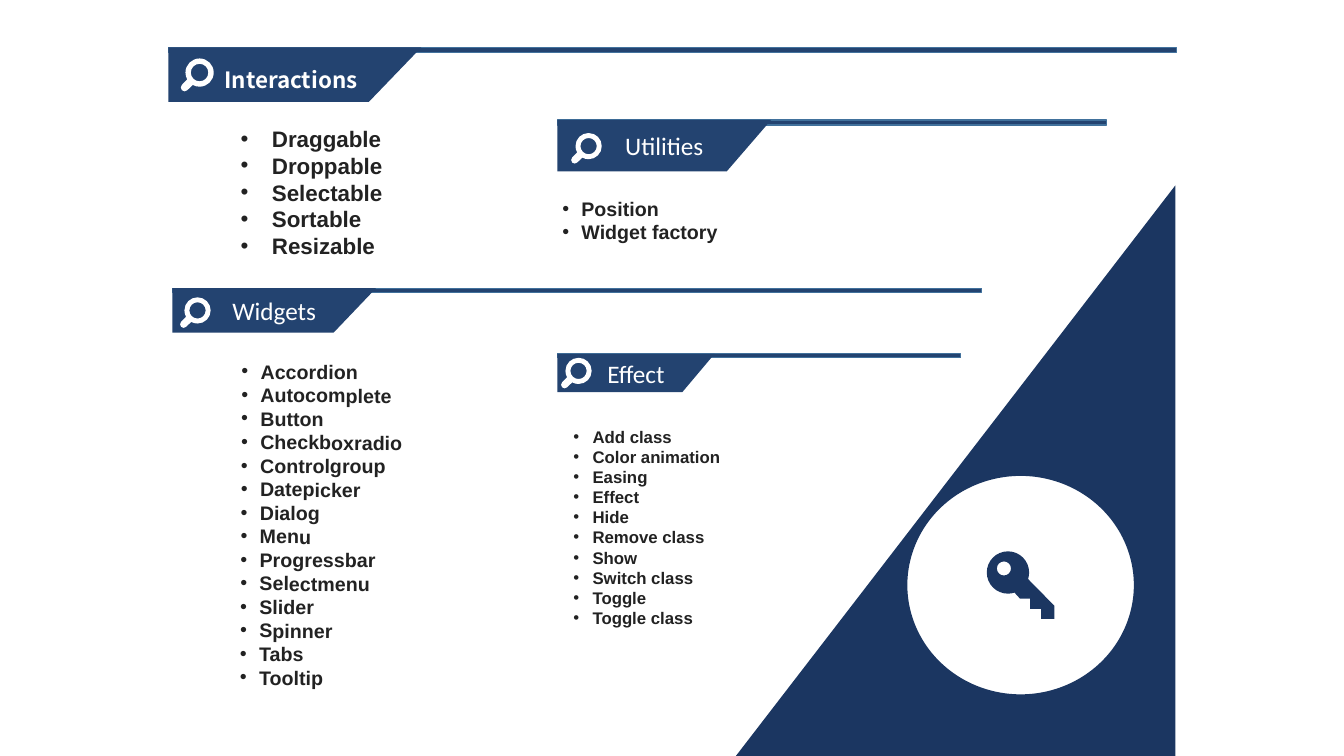
from dataclasses import dataclass
from math import cos, radians, sin, tan

from lxml import etree
from pptx import Presentation
from pptx import util as u
from pptx.dml.color import RGBColor
from pptx.enum import shapes, text
from pptx.oxml.ns import qn

PX = 9144  # EMU in one px, 100 px to the inch
NAVY, BLUE, WHITE, INK = "1B3661", "234370", "FFFFFF", "222222"
Point = tuple[float, float]
Step = list[Point]  # one point for a line, three for a curve


@dataclass
class Panel:
    title: str
    box: tuple[int, int, int, int]  # tab
    slant: int
    bar: tuple[int, int]  # width, height
    edge: str
    lens: tuple[int, int, int]  # centre, radius
    list_box: tuple[int, int, int, int]
    size: int
    items: list[str]
    indent: tuple[int, int] = (69, -19)
    turn: float = 0
    label: tuple[int, int, int, int] | None = None  # separate title box


PANELS = [
    Panel("Interactions", (167, 47, 251, 54), 52, (1000, 5), "43739E",
          (198, 72, 14), (179, 119, 240, 142), 16,
          ["Draggable", "Droppable", "Selectable", "Sortable", "Resizable"],
          indent=(81, -31), label=(213, 61, 160, 37)),
    Panel("Widgets", (171, 286, 202, 44), 42, (803, 4), "41719C",
          (196, 308, 13), (179, 352, 283, 321), 14,
          ["Accordion", "Autocomplete", "Button", "Checkboxradio",
           "Controlgroup", "Datepicker", "Dialog", "Menu", "Progressbar",
           "Selectmenu", "Slider", "Spinner", "Tabs", "Tooltip"], turn=0.3),
    Panel("Utilities", (553, 119, 212, 51), 44, (545, 5), "41719C",
          (584, 145, 13), (498, 190, 280, 54), 14,
          ["Position", "Widget factory"]),
    Panel("Effect", (553, 351, 156, 38), 32, (400, 4), "41719C",
          (574, 368, 13), (509, 418, 220, 204), 12,
          ["Add class", "Color animation", "Easing", "Effect", "Hide",
           "Remove class", "Show", "Switch class", "Toggle", "Toggle class"]),
]

prs = Presentation()
prs.slide_width, prs.slide_height = u.Inches(40 / 3), u.Inches(7.5)
slide = prs.slides.add_slide(prs.slide_layouts[6])
tree = slide.shapes


def rgb(code: str) -> RGBColor:
    return RGBColor.from_string(code)


def paint(shape, fill: str, line: str | None = None, width: float = 1):
    shape.shadow.inherit = False
    shape.fill.solid()
    shape.fill.fore_color.rgb = rgb(fill)
    if line:
        shape.line.color.rgb = rgb(line)
        shape.line.width = u.Pt(width)
    else:
        shape.line.fill.background()
    return shape


def preset(kind, box: tuple[int, ...], fill: str,
           line: str | None = None, width: float = 1):
    shape = tree.add_shape(kind, *(n * PX for n in box))
    return paint(shape, fill, line, width)


def lines(*points: Point) -> list[Step]:
    return [[point] for point in points]


def arc(x: float, y: float, r: float, start: int, end: int) -> list[Step]:
    """Line to the start, then curves that break at each quarter turn."""
    low, high = sorted((start, end))
    stops = [low, *(a for a in range(-360, 541, 90) if low < a < high), high]
    if start > end:
        stops.reverse()

    def spot(a: int, k: float = 0) -> Point:
        t = radians(a)
        return x + r * (cos(t) - k * sin(t)), y + r * (sin(t) + k * cos(t))

    steps = lines(spot(start))
    for a, b in zip(stops, stops[1:]):
        k = 4 / 3 * tan(radians(b - a) / 4)
        steps.append([spot(a, k), spot(b, -k), spot(b)])
    return steps


def outline(fill: str, *loops: list[Step]):
    loops = [[[(round(x * PX), round(y * PX)) for x, y in step]
              for step in loop] for loop in loops]
    form = tree.build_freeform(*loops[0][0][-1], scale=1.0)
    for i, loop in enumerate(loops):
        if i:
            form.move_to(*loop[0][-1])
        form.add_line_segments([step[-1] for step in loop[1:]], close=True)
    shape = form.convert_to_shape()
    # Bend the steps that have control points
    marks = [el for el in shape._element.iter(qn("a:moveTo"), qn("a:lnTo"))]
    for mark, step in zip(marks, sum(loops, [])):
        if len(step) == 3:
            mark.tag = qn("a:cubicBezTo")
            mark.clear()
            for x, y in step:
                pt = etree.SubElement(mark, qn("a:pt"))
                pt.set("x", str(x - shape.left))
                pt.set("y", str(y - shape.top))
    return paint(shape, fill)


def write(par, words: str, size: int, font: str, color: str, bold: bool):
    run = par.add_run()
    run.text = words
    run.font.size, run.font.name, run.font.bold = u.Pt(size), font, bold
    run.font.color.rgb = rgb(color)


def text_box(box: tuple[int, ...]):
    shape = tree.add_textbox(*(n * PX for n in box))
    shape.text_frame.word_wrap = True
    shape.text_frame.auto_size = text.MSO_AUTO_SIZE.SHAPE_TO_FIT_TEXT
    return shape


def lens(x: int, y: int, r: int) -> None:
    reach = 1.5 * r * cos(radians(45))
    rim = arc(x, y, r, 151, 479)
    grip = arc(x - reach, y + reach, 0.27 * r, 45, 225)
    outline(WHITE, rim + grip, arc(x, y, 0.62 * r, 360, 0))


def bullets(panel: Panel) -> None:
    shape = text_box(panel.list_box)
    shape.rotation = panel.turn
    frame = shape.text_frame
    for i, item in enumerate(panel.items):
        par = frame.add_paragraph() if i else frame.paragraphs[0]
        props = par._p.get_or_add_pPr()
        for key, n in zip(("marL", "indent"), panel.indent):
            props.set(key, str(n * PX))
        etree.SubElement(props, qn("a:buFont")).set("typeface", "Arial")
        etree.SubElement(props, qn("a:buChar")).set("char", "•")
        write(par, item, panel.size, "Arial", INK, True)


def draw(panel: Panel) -> None:
    x, y, w, h = panel.box
    preset(shapes.MSO_SHAPE.RECTANGLE, (x, y, *panel.bar), BLUE, panel.edge)
    tab = outline(BLUE, lines((x, y), (x + w, y), (x + w - panel.slant, y + h),
                              (x, y + h)))
    if panel.label:
        par = text_box(panel.label).text_frame.paragraphs[0]
        par.alignment = text.PP_ALIGN.JUSTIFY
        write(par, panel.title, 16, "Noto Sans CJK SC", WHITE, True)
    else:
        tab.text_frame.vertical_anchor = text.MSO_ANCHOR.MIDDLE
        par = tab.text_frame.paragraphs[0]
        par.alignment = text.PP_ALIGN.CENTER
        write(par, panel.title, 18, "Calibri", WHITE, False)
    lens(*panel.lens)
    bullets(panel)


# Corner triangle
corner = preset(shapes.MSO_SHAPE.RIGHT_TRIANGLE, (727, 184, 439, 570), NAVY)
corner._element.spPr.xfrm.set("flipH", "1")

# Titled lists
for panel in PANELS:
    draw(panel)

# Key in its disc
preset(shapes.MSO_SHAPE.OVAL, (897, 469, 231, 223), WHITE, NAVY, 4.5)
blade = lines((1012, 594), (1022, 594), (1022, 604), (1033, 604),
              (1033, 614), (1046, 614), (1046, 601))
outline(NAVY, arc(1000, 568, 21, 18, -288) + blade, arc(996, 564, 7, 0, 360))

prs.save("out.pptx")
